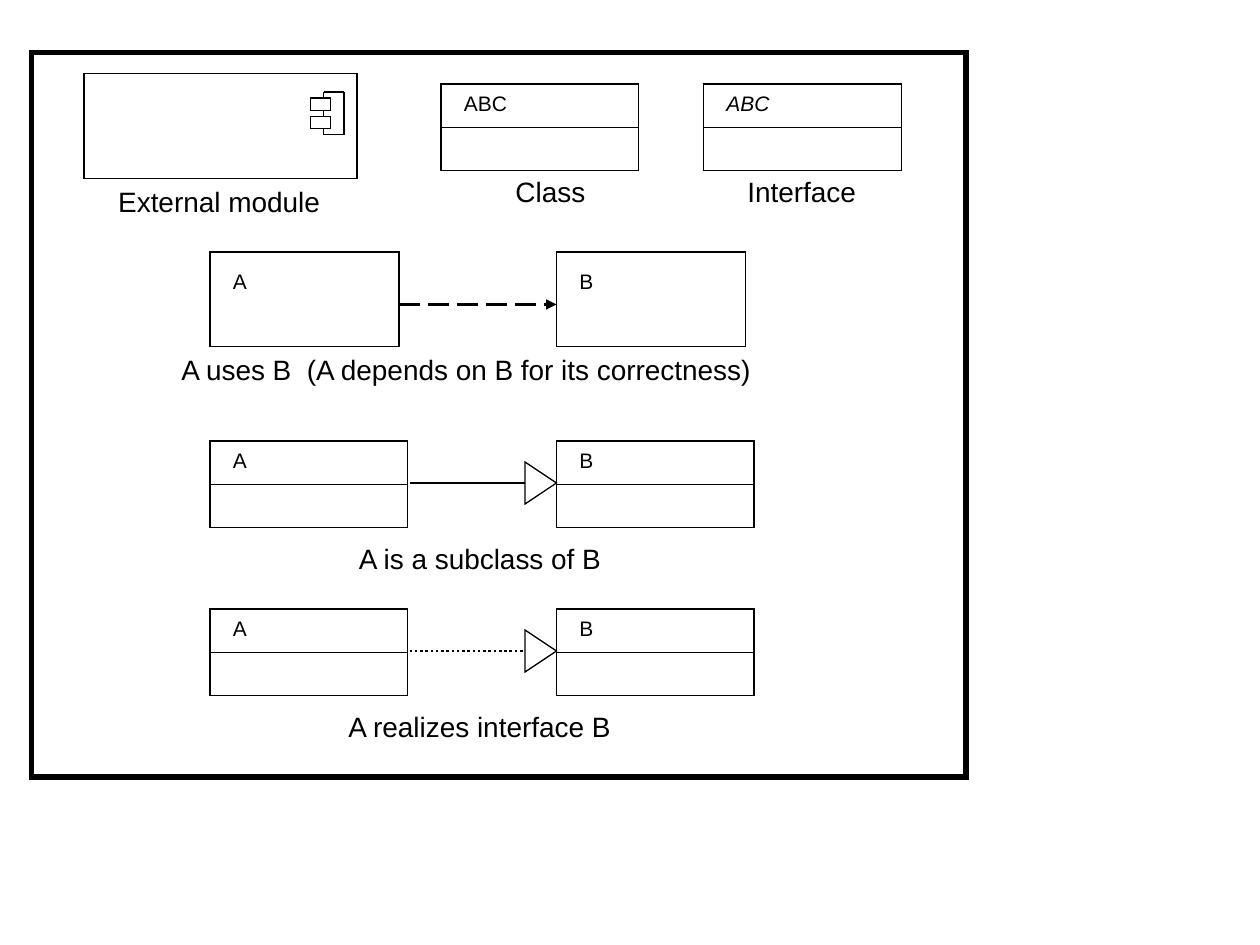
from pptx import Presentation
from pptx.dml.color import RGBColor
from pptx.enum.dml import MSO_LINE
from pptx.enum.shapes import MSO_CONNECTOR, MSO_SHAPE
from pptx.enum.text import MSO_AUTO_SIZE
from pptx.oxml.ns import qn
from pptx.util import Pt
from lxml.etree import SubElement

COLORS = {"ink": "000000", "paper": "FFFFFF"}
FONT = "Arial"

# Content: captions as (text, left, top, width)
CAPTIONS = [
    ("External module", 60.5, 102, 130),
    ("Class", 287.5, 96, 56),
    ("Interface", 420, 96, 78),
    ("A uses B  (A depends on B for its correctness)", 96.5, 198, 342),
    ("A is a subclass of B", 198, 306, 154),
    ("A realizes interface B", 192, 402, 166),
]
# Class symbols of the top row: (name, left, italic)
SYMBOLS = [("ABC", 252, False), ("ABC", 402, True)]
SYMBOL_TOP = 48
# The two sides of every relation, and the rows with a hollow arrowhead
SIDES = [("A", 120), ("B", 318)]
INHERITANCE = [(252, None), (348, MSO_LINE.ROUND_DOT)]

CLASS_W, CLASS_H = 113, 49.5
USER_W, USER_H, USER_TOP = 108, 54, 144
HEAD_W, HEAD_H = 24, 18

deck = Presentation()
deck.slide_width, deck.slide_height = Pt(720), Pt(540)
slide = deck.slides.add_slide(deck.slide_layouts[6])


def rgb(name):
    return RGBColor.from_string(COLORS[name])


def outline(left, top, width, height, weight=0.75, fill=None,
            kind=MSO_SHAPE.RECTANGLE):
    shape = slide.shapes.add_shape(kind, Pt(left), Pt(top), Pt(width), Pt(height))
    shape.shadow.inherit = False
    if fill:
        shape.fill.solid()
        shape.fill.fore_color.rgb = rgb(fill)
    else:
        shape.fill.background()
    shape.line.color.rgb = rgb("ink")
    shape.line.width = Pt(weight)
    # Square corners
    SubElement(shape._element.spPr.get_or_add_ln(), qn("a:miter"), lim="800000")
    return shape


def rule(x1, y1, x2, y2, weight=0.75, dash=None, arrow=False):
    line = slide.shapes.add_connector(
        MSO_CONNECTOR.STRAIGHT, Pt(x1), Pt(y1), Pt(x2), Pt(y2))
    line.line.color.rgb = rgb("ink")
    line.line.width = Pt(weight)
    if dash:
        line.line.dash_style = dash
    if arrow:
        SubElement(line._element.spPr.get_or_add_ln(), qn("a:tailEnd"),
                   type="triangle")
    SubElement(line._element.spPr, qn("a:effectLst"))


def write(text, left, top, width, height, size, wrap=False, italic=False):
    box = slide.shapes.add_textbox(Pt(left), Pt(top), Pt(width), Pt(height))
    frame = box.text_frame
    frame.word_wrap = wrap
    frame.auto_size = MSO_AUTO_SIZE.SHAPE_TO_FIT_TEXT
    paragraph = frame.paragraphs[0]
    paragraph.text = text
    font = paragraph.font
    font.name, font.size = FONT, Pt(size)
    font.color.rgb = rgb("ink")
    if italic:
        font.italic = True


def box_name(name, left, top, italic=False):
    write(name, left + 6, top, 46, 21.5, 12, wrap=True, italic=italic)


def class_symbol(name, left, top, italic=False):
    outline(left, top, CLASS_W, CLASS_H)
    middle = top + CLASS_H / 2
    rule(left, middle, left + CLASS_W, middle)
    box_name(name, left, top, italic)


# Frame around the legend
outline(18, 30, 534, 414, weight=3)

# External module with its component icon
outline(48, 42, 156, 60)
bracket_left, bracket_right, bracket_top, bracket_bottom = 185, 196.5, 52.5, 77
tab_tops, tab_h = (56, 66.5), 7
for tab_top in tab_tops:
    outline(177.5, tab_top, 11.5, tab_h, fill="paper")
for y in (bracket_top, bracket_bottom):
    rule(bracket_left, y, bracket_right, y)
rule(bracket_right, bracket_top, bracket_right, bracket_bottom)
edges = [bracket_top, *(y for t in tab_tops for y in (t, t + tab_h)), bracket_bottom]
for start, end in zip(edges[::2], edges[1::2]):
    rule(bracket_left, start, bracket_left, end)

# Class and interface symbols
for name, left, italic in SYMBOLS:
    class_symbol(name, left, SYMBOL_TOP, italic)

# A uses B
for name, left in SIDES:
    outline(left, USER_TOP, USER_W, USER_H)
    box_name(name, left, USER_TOP + 6)
a_left, b_left = (left for _, left in SIDES)
rule(a_left + USER_W, USER_TOP + 30, b_left, USER_TOP + 30, 1.5,
     MSO_LINE.LONG_DASH, arrow=True)

# Subclass and interface realization
for top, dash in INHERITANCE:
    for name, left in SIDES:
        class_symbol(name, left, top)
    axis = top + 24
    head = outline(b_left - (HEAD_H + HEAD_W) / 2, axis - HEAD_H / 2, HEAD_W, HEAD_H,
                   kind=MSO_SHAPE.ISOSCELES_TRIANGLE)
    head.rotation = 90
    rule(a_left + CLASS_W + 1, axis, b_left - HEAD_H, axis, 1.5, dash)

# Captions
for text, left, top, width in CAPTIONS:
    write(text, left, top, width, 26.5, 16)

deck.save("out.pptx")
